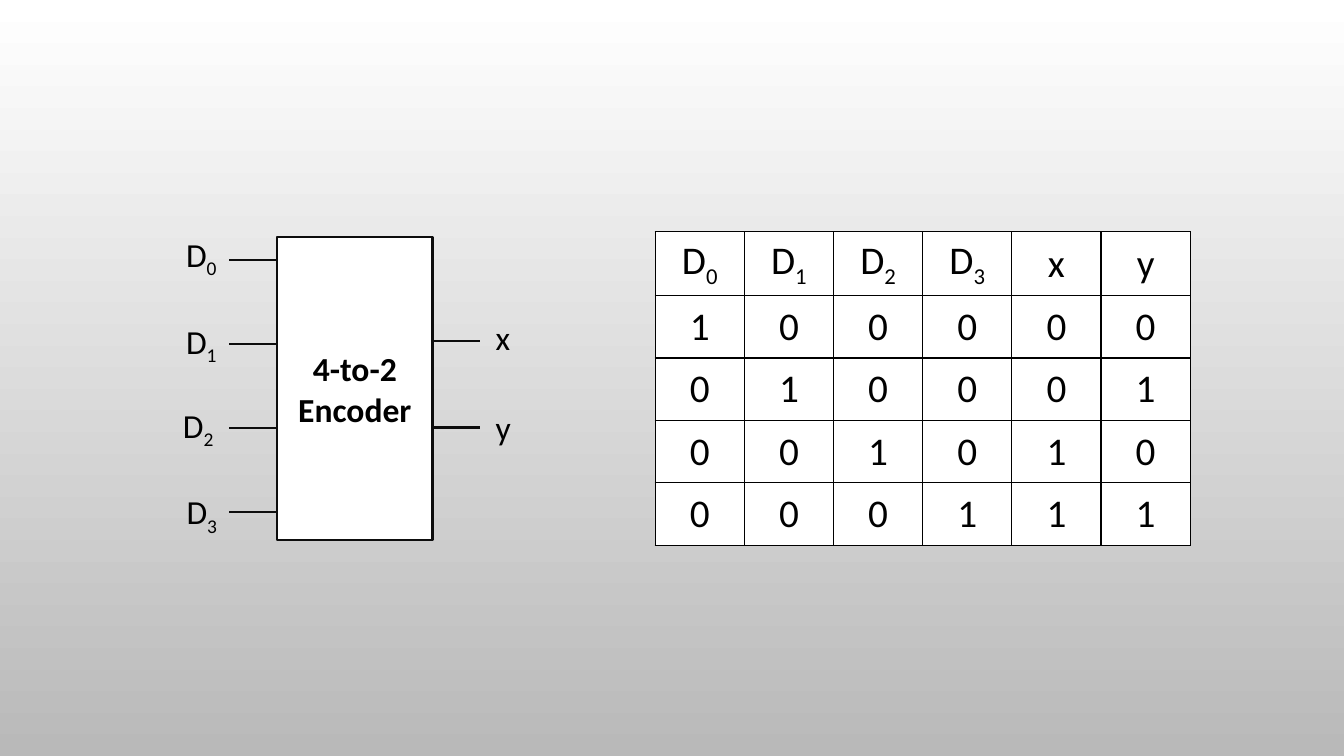
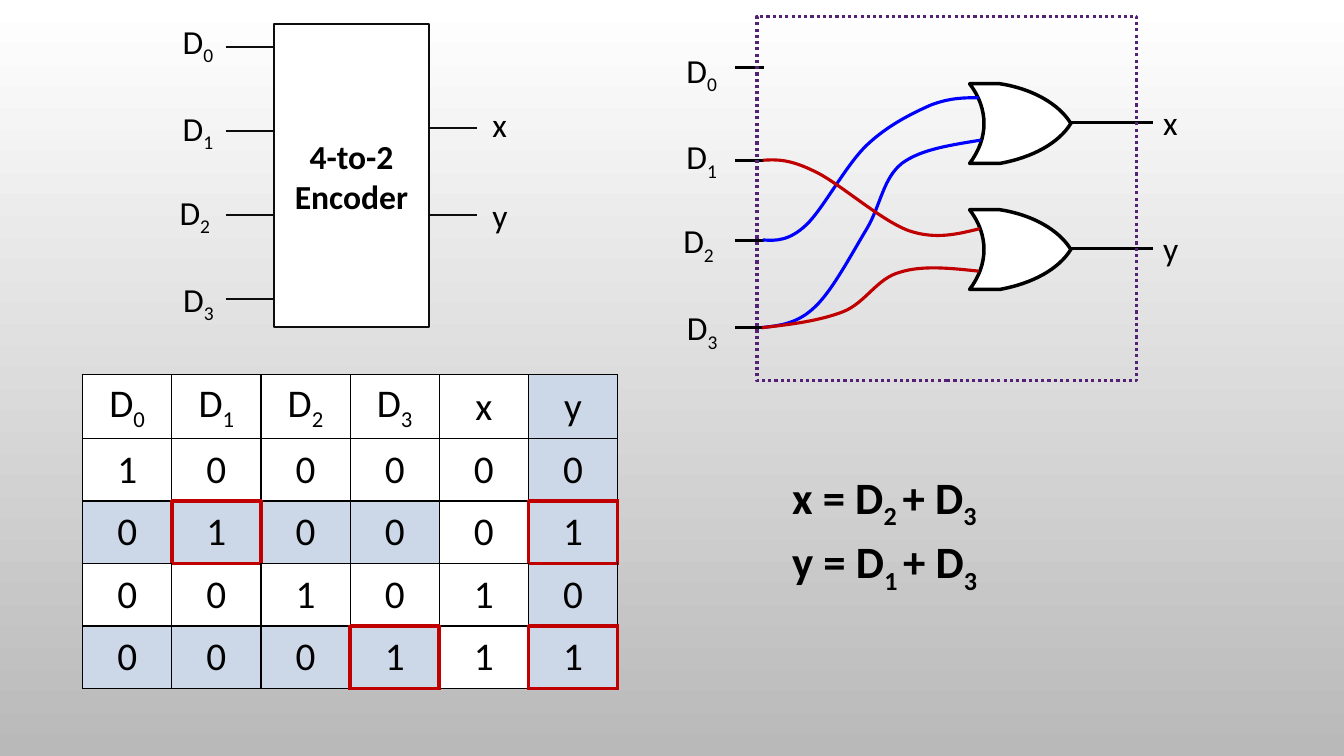
import pptx
import pptx.dml.color
import pptx.enum.dml
import pptx.enum.shapes
import pptx.enum.text
import pptx.oxml.ns
import pptx.util
from lxml import etree

Pt = pptx.util.Pt
qn = pptx.oxml.ns.qn
CENTER = pptx.enum.text.PP_ALIGN.CENTER
MIDDLE = pptx.enum.text.MSO_ANCHOR.MIDDLE

COLORS = {
    "white": "FFFFFF", "grey": "B9B9B9", "black": "000000", "ink": "0D0D0D",
    "shade": "CCD8E7", "red": "C00000", "blue": "0000FF", "violet": "542176",
}
LABEL = {"name": "Calibri", "size": Pt(24), "bold": False}
BLOCK_NAME = {**LABEL, "bold": True}
CELL = {**LABEL, "size": Pt(28)}
EQUATION = {**BLOCK_NAME, "size": Pt(32)}

TRUTH_TABLE = [
    ["D_0", "D_1", "D_2", "D_3", "x", "y"],
    list("100000"),
    list("010001"),
    list("001010"),
    list("000111"),
]
COLUMN_WIDTH, ROW_HEIGHT = 63.72, 44.64
SHADED = {(row, 5) for row in range(5)} | {(row, column) for row in (2, 4) for column in range(4)}
MARKED = {(2, 1), (2, 5), (4, 3), (4, 5)}
CELL_SIDES = {"L": (0, -1), "R": (0, 1), "T": (-1, 0), "B": (1, 0)}

INPUT_LABELS = {"D_0": (0, 0), "D_1": (0, 62), "D_2": (-2.2, 122), "D_3": (0.4, 184)}
INPUT_PINS = (48, 114.6, 172.1, 234)
GATE_TOPS = {"x": 59.8, "y": 149.8}
GATE_LEFT = 692.6
GATE_OUTLINE = [
    (72.3, 28.4), (63.5, 42.6), (44.8, 52.7), (21.7, 56.9),
    (21.7, 56.9), (0, 56.9), (0, 56.9),
    (13.7, 38.9), (13.7, 18), (0, 0),
    (0, 0), (21.7, 0), (21.7, 0),
    (44.8, 3.6), (63.8, 14.4), (72.3, 28.4),
]
SIGNALS = [
    ("blue", [
        (545, 171.4), (554.4, 172.1), (563.8, 172.1), (576, 160.6),
        (588.2, 149), (604.1, 118.1), (619.2, 103.7),
        (634.3, 89.3), (652.3, 80.6), (665.3, 74.9),
        (679, 69.8), (689, 69.8), (699.1, 69.8)]),
    ("blue", [
        (544.3, 234), (557.3, 232.6), (570.2, 231.1), (582.5, 218.9),
        (594.7, 207.4), (609.1, 180), (619.2, 163.4),
        (629.3, 146.2), (630.7, 127.4), (644.4, 116.6),
        (658.1, 106.6), (679, 103.7), (700.6, 100.1)]),
    ("red", [
        (545, 114.5), (555.1, 113.8), (564.5, 113.8), (581.8, 122.4),
        (599, 130.3), (629.3, 157.7), (649.4, 164.9),
        (668.9, 171.4), (684.7, 167), (699.8, 163.4)]),
    ("red", [
        (544.3, 234), (565.2, 231.8), (586.1, 229), (602.6, 222.5),
        (618.5, 216), (626.4, 198.7), (643, 194.4),
        (658.8, 189.4), (679, 191.5), (699.1, 193.7)]),
]


def color(name):
    """Return the named colour."""
    return pptx.dml.color.RGBColor.from_string(COLORS[name])


def apply_format(target, values):
    """Set each attribute of the target from a dict."""
    for name, value in values.items():
        setattr(target, name, value)


def write(para, text, font):
    """Write text whose parts between underscores alternate with subscripts."""
    for index, part in enumerate(text.split("_")):
        span = para.add_run()
        span.text = part
        apply_format(span.font, font)
        span.font.color.rgb = color("black")
        if index % 2:
            span.font._element.set("baseline", "-25000")


def add_label(page, text, left, top, width, height=36, font=LABEL):
    """Add a line of text that does not wrap."""
    box = page.shapes.add_textbox(Pt(left), Pt(top), Pt(width), Pt(height))
    apply_format(box.text_frame, {
        "word_wrap": False,
        "auto_size": pptx.enum.text.MSO_AUTO_SIZE.SHAPE_TO_FIT_TEXT,
    })
    write(box.text_frame.paragraphs[0], text, font)


def add_wire(page, left, right, y, line_color, weight):
    """Add a horizontal line."""
    wire = page.shapes.add_connector(
        pptx.enum.shapes.MSO_CONNECTOR.STRAIGHT, Pt(left), Pt(y), Pt(right), Pt(y))
    etree.SubElement(wire._element.spPr, qn("a:effectLst"))
    wire.line.color.rgb = color(line_color)
    wire.line.width = Pt(weight)


def style_shape(shape, fill, line_color, weight):
    """Give a shape its fill and outline, without a shadow."""
    shape.shadow.inherit = False
    if fill:
        shape.fill.solid()
        shape.fill.fore_color.rgb = color(fill)
    else:
        shape.fill.background()
    shape.line.color.rgb = color(line_color)
    shape.line.width = Pt(weight)


def add_box(page, left, top, width, height, fill, line_color, weight):
    """Add a rectangle."""
    box = page.shapes.add_shape(
        pptx.enum.shapes.MSO_SHAPE.RECTANGLE, Pt(left), Pt(top), Pt(width), Pt(height))
    style_shape(box, fill, line_color, weight)
    return box


def add_curve(page, points, fill, line_color, weight, close=False):
    """Add an outline of cubic curves, three points to each."""
    vertices = [(Pt(x), Pt(y)) for x, y in points]
    builder = page.shapes.build_freeform(*vertices[0], scale=1.0)
    builder.add_line_segments(vertices[1:], close=close)
    shape = builder.convert_to_shape()
    segments = list(shape._element.iter(qn("a:lnTo")))
    for start in range(0, len(segments), 3):
        curve = etree.Element(qn("a:cubicBezTo"))
        segments[start].addprevious(curve)
        for segment in segments[start:start + 3]:
            curve.append(segment[0])
            segment.getparent().remove(segment)
    style_shape(shape, fill, line_color, weight)


def add_input_labels(page, left, top):
    """Add the labels of the four inputs."""
    for text, (across, down) in INPUT_LABELS.items():
        add_label(page, text, left + across, top + down, 38.2)


def add_encoder(page, left, top):
    """Add the encoder block with its inputs and outputs."""
    width, wire_length = 111, 34.2
    box = add_box(page, left, top, width, 216.7, "white", "ink", 1.5)
    box.text_frame.word_wrap = True
    box.text_frame.vertical_anchor = MIDDLE
    para = box.text_frame.paragraphs[0]
    para.alignment = CENTER
    write(para, "4-to-2 Encoder", BLOCK_NAME)
    for index in range(4):
        add_wire(page, left - wire_length, left, top + 16.5 + 60 * index, "ink", 1.5)
    add_input_labels(page, left - 72.2, top - 5.8)
    right = left + width
    for text, wire_y, label_y in (("x", 74.2, 53.4), ("y", 136.2, 118.2)):
        add_wire(page, right, right + wire_length, top + wire_y, "ink", 1.5)
        add_label(page, text, right + 38, top + label_y, 26.6)


def add_border(cell, side, line_color, weight):
    """Draw one side of a table cell."""
    border = etree.SubElement(
        cell._tc.get_or_add_tcPr(), qn(f"a:ln{side}"), w=str(Pt(weight)))
    fill = etree.SubElement(border, qn("a:solidFill"))
    etree.SubElement(fill, qn("a:srgbClr"), val=COLORS[line_color])


def add_truth_table(page, left, top, shaded=frozenset(), marked=frozenset()):
    """Add the truth table with shaded cells and red marked cells."""
    rows, columns = len(TRUTH_TABLE), len(TRUTH_TABLE[0])
    table = page.shapes.add_table(
        rows, columns, Pt(left), Pt(top),
        Pt(COLUMN_WIDTH * columns), Pt(ROW_HEIGHT * rows)).table
    apply_format(table, {"first_row": False, "horz_banding": False})
    for column in table.columns:
        column.width = Pt(COLUMN_WIDTH)
    for row, texts in enumerate(TRUTH_TABLE):
        table.rows[row].height = Pt(ROW_HEIGHT)
        for column, text in enumerate(texts):
            cell = table.cell(row, column)
            for side, (down, across) in CELL_SIDES.items():
                red = marked & {(row, column), (row + down, column + across)}
                add_border(cell, side, *(("red", 3) if red else ("black", 1)))
            cell.fill.solid()
            cell.fill.fore_color.rgb = color("shade" if (row, column) in shaded else "white")
            cell.vertical_anchor = MIDDLE
            para = cell.text_frame.paragraphs[0]
            para.alignment = CENTER
            write(para, text, CELL)


def add_circuit(page):
    """Add the gate circuit in its dotted frame."""
    for text, top in GATE_TOPS.items():
        outline = [(GATE_LEFT + x, top + y) for x, y in GATE_OUTLINE]
        add_curve(page, outline, "white", "black", 2.5, close=True)
        add_wire(page, 764.6, 823.7, top + 27.6, "black", 2.25)
        add_label(page, text, 823.7, top + 9.8, 26.6)
    add_input_labels(page, 483.2, 31.8)
    for y in INPUT_PINS:
        add_wire(page, 524.9, 545.8, y, "black", 2.25)
    frame = add_box(page, 540.7, 11.5, 271.4, 260.6, None, "violet", 2.25)
    frame.line.dash_style = pptx.enum.dml.MSO_LINE.ROUND_DOT
    for line_color, points in SIGNALS:
        add_curve(page, points, None, line_color, 2.25)


def set_background(master):
    """Give all slides a gradient from white down to grey."""
    fill = master.background.fill
    fill.gradient()
    fill.gradient_angle = 270
    for stop, name, position in zip(fill.gradient_stops, ("white", "grey"), (0, 1)):
        stop.color.rgb = color(name)
        stop.position = position


def main():
    """Build the two slides and save them."""
    deck = pptx.Presentation()
    apply_format(deck, {"slide_width": Pt(960), "slide_height": Pt(540)})
    set_background(deck.slide_master)
    overview, solution = [deck.slides.add_slide(deck.slide_layouts[6]) for _ in range(2)]

    add_encoder(overview, 198, 169.2)
    add_truth_table(overview, 468, 165.6)

    add_encoder(solution, 195.6, 17.2)
    add_truth_table(solution, 59, 267.8, SHADED, MARKED)
    for text, top in (("x = D_2 _+ D_3", 331.9), ("y = D_1 _+ D_3", 378)):
        add_label(solution, text, 558.7, top, 179.3, 46, EQUATION)
    add_circuit(solution)
    deck.save("out.pptx")


if __name__ == "__main__":
    main()
